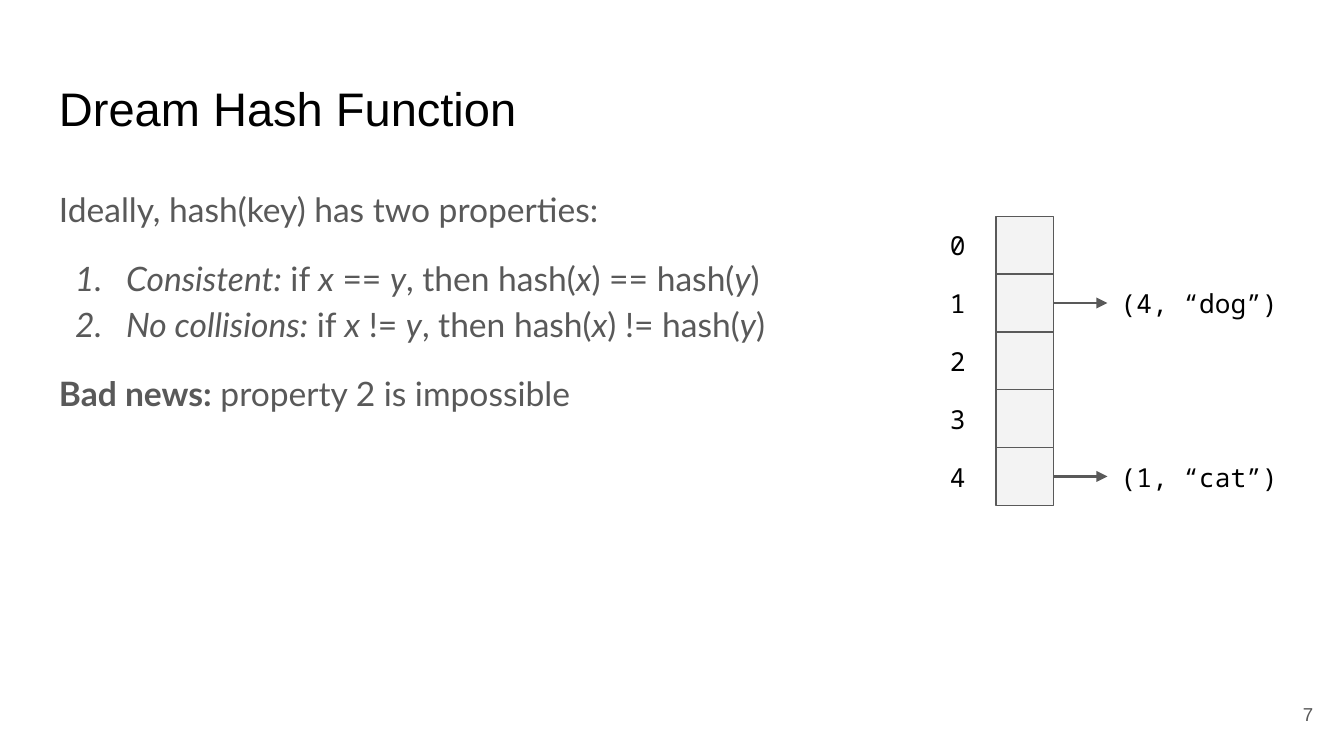
import dataclasses

import pptx
import pptx.dml.color
import pptx.enum.shapes
import pptx.enum.text
import pptx.oxml.ns
import pptx.util

Inches = pptx.util.Inches
Pt = pptx.util.Pt
qn = pptx.oxml.ns.qn
PP_ALIGN = pptx.enum.text.PP_ALIGN
MSO_ANCHOR = pptx.enum.text.MSO_ANCHOR


@dataclasses.dataclass(frozen=True)
class Theme:
    ink: str = "000000"
    gray: str = "595959"
    cell: str = "F3F3F3"
    sans: str = "Arial"
    body: str = "Lato"
    mono: str = "Noto Sans Mono"
    title_size: float = 25.2
    body_size: float = 18
    code_size: float = 14
    number_size: float = 10


THEME = Theme()


def rgb(value):
    return pptx.dml.color.RGBColor.from_string(value)


def set_attrs(obj, values):
    for name, value in values.items():
        setattr(obj, name, value)


def add_child(parent, tag, **attrs):
    child = parent.makeelement(qn(tag), attrs)
    parent.append(child)
    return child


def add_text_box(slide, box, anchor=MSO_ANCHOR.TOP):
    sp = slide.shapes.add_textbox(*map(Inches, box))
    margins = ("margin_left", "margin_top", "margin_right", "margin_bottom")
    set_attrs(sp.text_frame, dict.fromkeys(margins, Inches(0.1)))
    set_attrs(sp.text_frame, {"word_wrap": True, "vertical_anchor": anchor})
    return sp


def add_run(p, text, font, size, color, **style):
    r = p.add_run()
    r.text = text
    set_attrs(r.font, {"name": font, "size": Pt(size), **style})
    r.font.color.rgb = rgb(color)


def add_label(slide, box, text, font, size, color,
              align=PP_ALIGN.LEFT, anchor=MSO_ANCHOR.TOP):
    sp = add_text_box(slide, box, anchor)
    p = sp.text_frame.paragraphs[0]
    p.alignment = align
    add_run(p, text, font, size, color)
    return sp


def number_paragraph(p):
    pPr = p._p.get_or_add_pPr()
    pPr.set("marL", str(Inches(0.5)))
    pPr.set("indent", str(Inches(-0.38)))
    add_child(add_child(pPr, "a:buClr"), "a:srgbClr", val=THEME.gray)
    add_child(pPr, "a:buAutoNum", type="arabicPeriod")


def add_body(slide, box):
    paragraphs = [
        ("Ideally, hash(key) has two properties:", "italic", False, {}),
        ("*Consistent:* if *x* == *y*, then hash(*x*) == hash(*y*)", "italic", True,
         {"space_before": Pt(12)}),
        ("*No collisions:* if *x* != *y*, then hash(*x*) != hash(*y*)", "italic", True, {}),
        ("*Bad news:* property 2 is impossible", "bold", False,
         {"space_before": Pt(12), "space_after": Pt(12)}),
    ]
    tf = add_text_box(slide, box).text_frame
    for i, (text, emphasis, numbered, spacing) in enumerate(paragraphs):
        p = tf.add_paragraph() if i else tf.paragraphs[0]
        set_attrs(p, {"line_spacing": 1.15, **spacing})
        if numbered:
            number_paragraph(p)
        for j, part in enumerate(text.split("*")):
            if part:
                add_run(p, part, THEME.body, THEME.body_size, THEME.gray,
                        **{emphasis: j % 2 == 1})


def add_arrow(slide, start, end):
    cxn = slide.shapes.add_connector(pptx.enum.shapes.MSO_CONNECTOR.STRAIGHT, 0, 0, 0, 0)
    cxn.begin_connect(start, 3)
    cxn.end_connect(end, 1)
    cxn.line.color.rgb = rgb(THEME.gray)
    cxn.line.width = Pt(1.5)
    add_child(cxn.line._get_or_add_ln(), "a:tailEnd", type="triangle")
    add_child(cxn._element.spPr, "a:effectLst")


def add_hash_table(slide, box):
    left, top, width, height = box
    entries = ["", "(4, “dog”)", "", "", "(1, “cat”)"]
    side = height / len(entries)
    cell_left = left + 0.44
    entry_left = cell_left + side + 0.4
    code = (THEME.mono, THEME.code_size, THEME.ink)
    for i, entry in enumerate(entries):
        y = top + i * side
        cell = slide.shapes.add_shape(
            pptx.enum.shapes.MSO_SHAPE.RECTANGLE,
            *map(Inches, (cell_left, y, side, side)))
        cell.shadow.inherit = False
        cell.fill.solid()
        cell.fill.fore_color.rgb = rgb(THEME.cell)
        cell.line.color.rgb = rgb(THEME.gray)
        cell.line.width = Pt(0.75)
        add_label(slide, (left, y, side, side), str(i), *code)
        if entry:
            label = add_label(
                slide, (entry_left, y, left + width - entry_left, side), entry, *code)
            add_arrow(slide, cell, label)


def main():
    prs = pptx.Presentation()
    width = Inches(10)
    set_attrs(prs, {"slide_width": width, "slide_height": width * 9 // 16})
    slide = prs.slides.add_slide(prs.slide_layouts[6])
    add_label(slide, (0.34, 0.49, 9.32, 0.63), "Dream Hash Function",
              THEME.sans, THEME.title_size, THEME.ink)
    add_body(slide, (0.34, 1.26, 9.32, 3.74))
    add_label(slide, (9.27, 5.1, 0.6, 0.43), "7", THEME.sans, THEME.number_size,
              THEME.gray, PP_ALIGN.RIGHT, MSO_ANCHOR.MIDDLE)
    add_hash_table(slide, (6.97, 1.61, 2.69, 2.15))
    prs.save("out.pptx")


if __name__ == "__main__":
    main()
